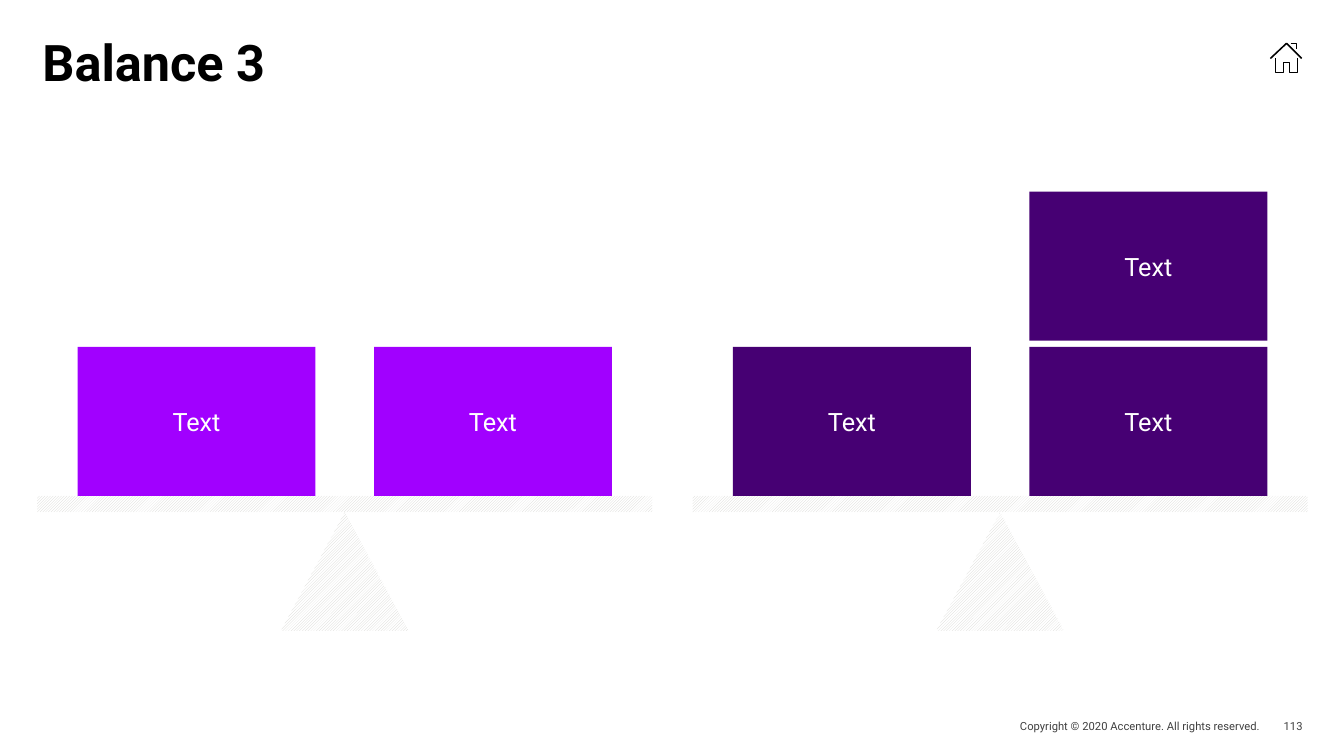
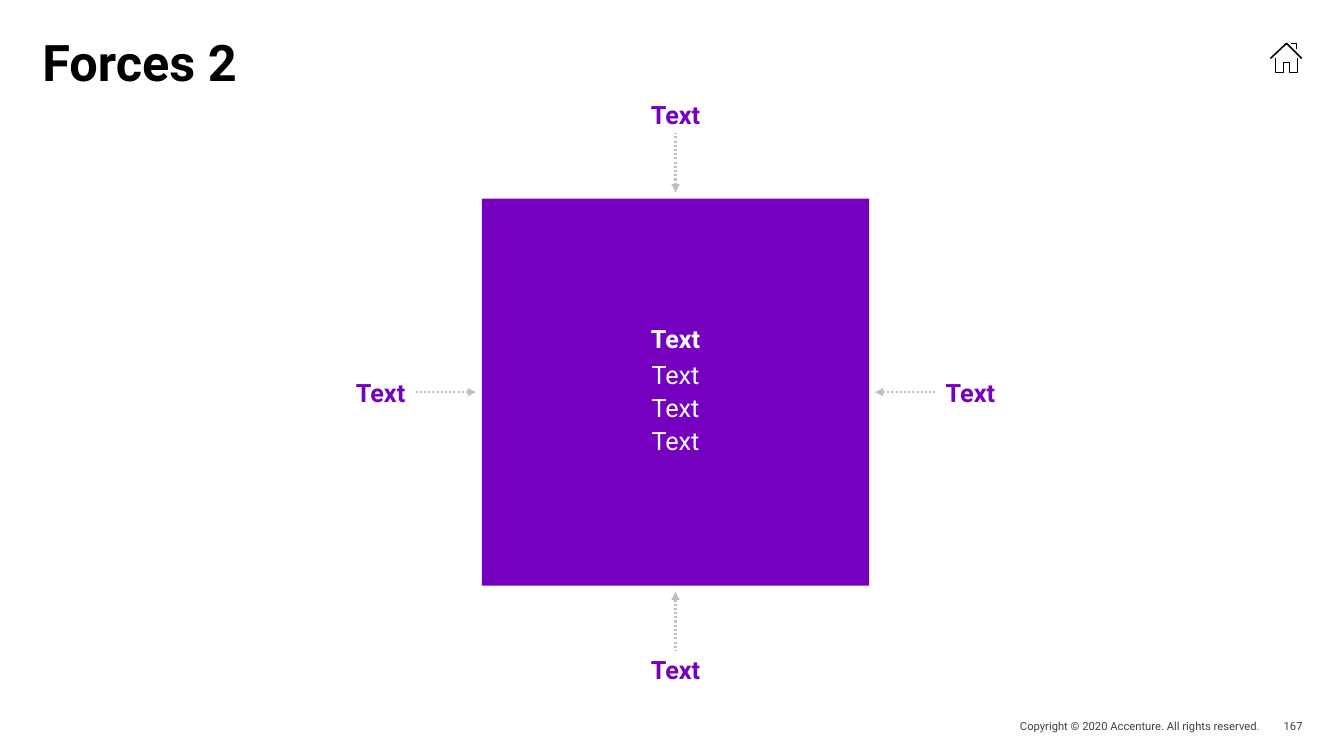
"""Build the balance and forces diagram slides."""
import pptx
import pptx.dml.color
import pptx.enum.dml
import pptx.enum.shapes
import pptx.enum.text
import pptx.oxml.ns
import pptx.util
from lxml import etree

Inches = pptx.util.Inches
Pt = pptx.util.Pt
RGBColor = pptx.dml.color.RGBColor
SHAPE = pptx.enum.shapes.MSO_SHAPE
ALIGN = pptx.enum.text.PP_ALIGN
ANCHOR = pptx.enum.text.MSO_ANCHOR
qn = pptx.oxml.ns.qn

FONT = "Roboto"
BLACK = RGBColor(0x00, 0x00, 0x00)
WHITE = RGBColor(0xFF, 0xFF, 0xFF)
FOOTER_GRAY = RGBColor(0x40, 0x40, 0x40)
HATCH_GRAY = RGBColor(0xD5, 0xD5, 0xD1)
ARROW_GRAY = RGBColor(0xC0, 0xC0, 0xBA)
BRIGHT_PURPLE = RGBColor(0xA1, 0x00, 0xFF)
MID_PURPLE = RGBColor(0x75, 0x00, 0xC0)
DARK_PURPLE = RGBColor(0x46, 0x00, 0x73)

HOME_STROKES = (
    ((0, 0.16), (0.16, 0.01), (0.31, 0.16)),
    ((0.2, 0.01), (0.26, 0.01), (0.26, 0.07)),
    ((0.05, 0.16), (0.05, 0.3), (0.13, 0.3), (0.13, 0.2),
     (0.19, 0.2), (0.19, 0.3), (0.27, 0.3), (0.27, 0.16)),
)


def set_frame(frame, anchor, inset):
    """Set the wrapping, anchor and insets of a text frame."""
    frame.word_wrap = True
    frame.auto_size = pptx.enum.text.MSO_AUTO_SIZE.NONE
    frame.vertical_anchor = anchor
    frame.margin_left = frame.margin_right = Inches(inset)
    frame.margin_top = frame.margin_bottom = Inches(inset)


def add_span(para, text, size, color, bold=False, align=ALIGN.LEFT):
    """Add one formatted run to a paragraph."""
    para.alignment = align
    span = para.add_run()
    span.text = text
    span.font.name = FONT
    span.font.size = Pt(size)
    span.font.bold = bold
    span.font.color.rgb = color


def add_label(page, box, text, size, color, bold=False,
              align=ALIGN.LEFT, anchor=ANCHOR.MIDDLE, inset=0):
    """Add a one-line text box."""
    label = page.shapes.add_textbox(*map(Inches, box))
    set_frame(label.text_frame, anchor, inset)
    add_span(label.text_frame.paragraphs[0], text, size, color, bold, align)


def add_block(page, kind, box):
    """Add a preset shape without outline or shadow."""
    block = page.shapes.add_shape(kind, *map(Inches, box))
    block.shadow.inherit = False
    block.line.fill.background()
    return block


def add_solid(page, box, color, inset):
    """Add a solid rectangle ready for centred text."""
    block = add_block(page, SHAPE.RECTANGLE, box)
    block.fill.solid()
    block.fill.fore_color.rgb = color
    set_frame(block.text_frame, ANCHOR.MIDDLE, inset)
    return block


def add_hatched(page, kind, box):
    """Add a shape with a diagonal hatch."""
    block = add_block(page, kind, box)
    block.fill.patterned()
    block.fill.pattern = pptx.enum.dml.MSO_PATTERN.DARK_UPWARD_DIAGONAL
    block.fill.fore_color.rgb = HATCH_GRAY
    block.fill.back_color.rgb = WHITE


def add_home_icon(page, left, top):
    """Draw the outlined house."""
    strokes = [[(Inches(left + x), Inches(top + y)) for x, y in stroke]
               for stroke in HOME_STROKES]
    builder = page.shapes.build_freeform(*strokes[0][0])
    for stroke in strokes:
        builder.move_to(*stroke[0])
        builder.add_line_segments(stroke[1:], close=False)
    house = builder.convert_to_shape()
    house.shadow.inherit = False
    house.fill.background()
    house.line.color.rgb = BLACK
    house.line.width = Pt(1.1)


def add_page(deck, title, number):
    """Add a slide with the shared title, icon and footer."""
    page = deck.slides.add_slide(deck.slide_layouts[5])
    heading = page.shapes.title
    heading.left, heading.top = Inches(0.42), Inches(0.42)
    heading.width, heading.height = Inches(12.5), Inches(1.08)
    set_frame(heading.text_frame, ANCHOR.TOP, 0)
    para = heading.text_frame.paragraphs[0]
    para.line_spacing = 0.8
    add_span(para, title, 36, BLACK, True)
    add_home_icon(page, 12.6, 0.42)
    add_label(page, (9.1, 7.09, 3.4, 0.23),
              "Copyright © 2020 Accenture. All rights reserved.",
              8, FOOTER_GRAY, align=ALIGN.RIGHT)
    add_label(page, (12.5, 7.09, 0.42, 0.23), number,
              8, FOOTER_GRAY, align=ALIGN.RIGHT)
    return page


def add_balance(page, left, beam_top, color, stacks):
    """Draw a beam on a pivot with a stack of weights at each end."""
    beam_width, beam_height = 6.1, 0.16
    pivot_width, pivot_height = 1.27, 1.18
    weight_width, weight_height, gap, margin = 2.36, 1.48, 0.06, 0.4
    add_hatched(page, SHAPE.ISOSCELES_TRIANGLE,
                (left + (beam_width - pivot_width) / 2, beam_top + beam_height,
                 pivot_width, pivot_height))
    add_hatched(page, SHAPE.RECTANGLE, (left, beam_top, beam_width, beam_height))
    ends = (left + margin, left + beam_width - margin - weight_width)
    for weight_left, texts in zip(ends, stacks):
        for level, text in enumerate(texts):
            weight_top = beam_top - weight_height - level * (weight_height + gap)
            weight = add_solid(page, (weight_left, weight_top, weight_width,
                                      weight_height), color, 0.08)
            add_span(weight.text_frame.paragraphs[0], text, 18, WHITE,
                     align=ALIGN.CENTER)


def add_arrow(page, tip, end):
    """Draw a dotted line with an arrowhead at its tip."""
    arrow = page.shapes.add_connector(
        pptx.enum.shapes.MSO_CONNECTOR.STRAIGHT, *map(Inches, tip + end))
    arrow.line.color.rgb = ARROW_GRAY
    arrow.line.width = Pt(1.5)
    arrow.line.dash_style = pptx.enum.dml.MSO_LINE.ROUND_DOT
    etree.SubElement(arrow.line._get_or_add_ln(), qn("a:headEnd"), type="triangle")
    etree.SubElement(arrow._element.spPr, qn("a:effectLst"))


def add_forces(page, box, lines, labels):
    """Draw a square with labelled arrows pressing on its four sides."""
    left, top, width, height = box
    center_x, center_y = left + width / 2, top + height / 2
    square = add_solid(page, box, MID_PURPLE, 0.04)
    frame = square.text_frame
    for index, text in enumerate(lines):
        para = frame.paragraphs[0] if index == 0 else frame.add_paragraph()
        para.space_after = Pt(1 if index else 3)
        if index:
            para.space_before = Pt(1)
        else:
            para.line_spacing = 0.85
        add_span(para, text, 18, WHITE, index == 0, ALIGN.CENTER)

    gap, length = 0.06, 0.59
    for step_x, step_y in ((0, -1), (1, 0), (0, 1), (-1, 0)):
        near_x, near_y = width / 2 + gap, height / 2 + gap
        add_arrow(page,
                  (center_x + step_x * near_x, center_y + step_y * near_y),
                  (center_x + step_x * (near_x + length),
                   center_y + step_y * (near_y + length)))

    label_width, label_height = 2.81, 0.37
    reach = gap + length + 0.06
    middle_left, middle_top = center_x - label_width / 2, center_y - label_height / 2
    places = (
        (middle_left, top - 1.03, ALIGN.CENTER, ANCHOR.TOP),
        (left + width + reach, middle_top, ALIGN.LEFT, ANCHOR.MIDDLE),
        (middle_left, top + height + 0.63, ALIGN.CENTER, ANCHOR.TOP),
        (left - reach - label_width, middle_top, ALIGN.RIGHT, ANCHOR.MIDDLE),
    )
    for text, (label_left, label_top, align, anchor) in zip(labels, places):
        add_label(page, (label_left, label_top, label_width, label_height), text,
                  18, MID_PURPLE, True, align, anchor, 0.05)


def main():
    """Build and save the deck."""
    deck = pptx.Presentation()
    deck.slide_width, deck.slide_height = Inches(13.33), Inches(7.5)
    balance = add_page(deck, "Balance 3", "113")
    add_balance(balance, 0.37, 4.92, BRIGHT_PURPLE, (["Text"], ["Text"]))
    add_balance(balance, 6.87, 4.92, DARK_PURPLE, (["Text"], ["Text", "Text"]))
    forces = add_page(deck, "Forces 2", "167")
    add_forces(forces, (4.78, 1.97, 3.84, 3.84), ["Text"] * 4, ["Text"] * 4)
    deck.save("out.pptx")


if __name__ == "__main__":
    main()
